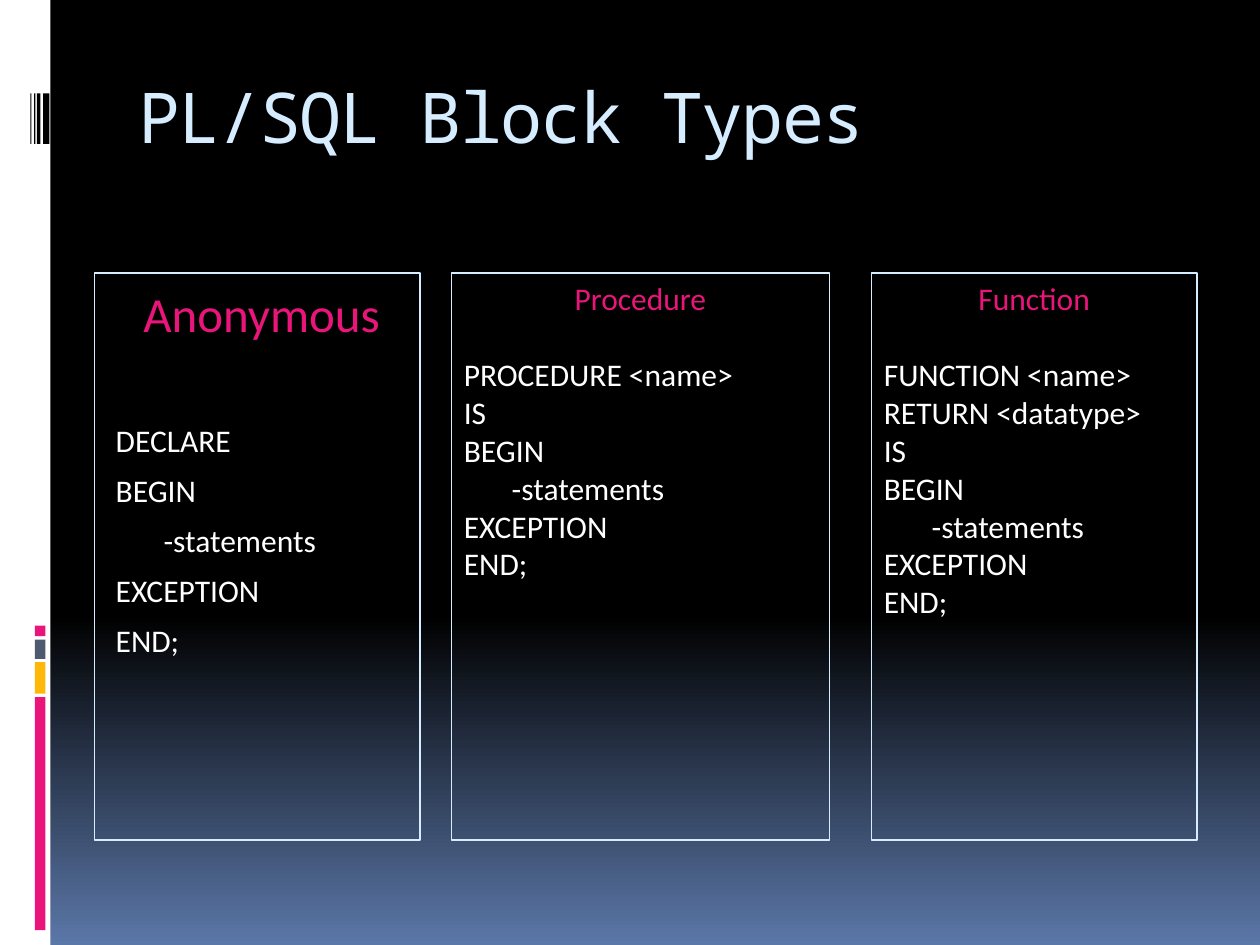
from copy import deepcopy
from dataclasses import dataclass

from lxml.etree import SubElement
from pptx import Presentation
from pptx.dml.color import RGBColor as Rgb
from pptx.enum.shapes import MSO_SHAPE as Kind
from pptx.enum.text import MSO_ANCHOR as Anchor, PP_ALIGN as Align
from pptx.oxml.ns import qn
from pptx.util import Inches, Pt

HUE = {
    "black": "000000", "white": "FFFFFF", "pink": "EA157A", "gold": "FEB80A",
    "slate": "4E5B6F", "blue": "5B77A8", "pale": "D6ECFF",
}
COLS, ROWS = 120, 90  # square cells, a twelfth of an inch


@dataclass
class Box:
    col: float
    row: float
    wide: float
    high: float


@dataclass
class Panel:
    col: float
    wide: float
    head: str
    code: list[str]
    size: int = 18         # heading, points
    inset: float = 0.05    # above the heading, inches
    margin: float = 0.38   # left margin of the hanging indent, inches
    lead: int = 0          # space before each code line, points
    gap: int = 22          # space between heading and code, points


def cells(count: float) -> int:
    return Inches(round(count / 12, 4))


def ink(name: str) -> Rgb:
    return Rgb.from_string(HUE[name])


def place(box: Box) -> list[int]:
    return [cells(n) for n in (box.col, box.row, box.wide, box.high)]


def backdrop(slide, stops: list[tuple[float, str]]) -> None:
    fill = slide.background.fill
    fill.gradient()
    fill.gradient_angle = 270
    steps = slide._element.find(".//" + qn("a:gsLst"))
    while len(steps) < len(stops):
        steps.append(deepcopy(steps[0]))
    for stop, (spot, name) in zip(fill.gradient_stops, stops):
        stop.position = spot
        stop.color.rgb = ink(name)


def bar(slide, box: Box, name: str) -> None:
    shape = slide.shapes.add_shape(Kind.RECTANGLE, *place(box))
    shape.shadow.inherit = False
    shape.fill.solid()
    shape.fill.fore_color.rgb = ink(name)
    shape.line.fill.background()


def write(para, text: str, size: int, name: str, face: str = "Calibri"):
    run = para.add_run()
    run.text = text
    for key, value in {"size": Pt(size), "name": face}.items():
        setattr(run.font, key, value)
    run.font.color.rgb = ink(name)
    return run


def title(slide, text: str) -> None:
    frame = slide.shapes.add_textbox(*place(Box(12, 6.75, 102, 12))).text_frame
    frame.word_wrap = True
    frame.margin_top = Inches(0.02)
    run = write(frame.paragraphs[0], text, 40, "pale", "Noto Sans Mono")
    run.font._element.set("spc", "-100")


def hang(para, margin: float) -> None:
    props = para._p.get_or_add_pPr()
    props.set("marL", str(Inches(margin)))
    props.set("indent", str(Inches(-0.38)))


def draw(slide, panel: Panel) -> None:
    box = Box(panel.col, 26, panel.wide, 54)
    shape = slide.shapes.add_shape(Kind.RECTANGLE, *place(box))
    shape.shadow.inherit = False
    shape.fill.background()
    shape.line.color.rgb = ink("pale")
    shape.line.width = Pt(0.75)
    frame = shape.text_frame
    form = {"word_wrap": True, "vertical_anchor": Anchor.TOP,
            "margin_top": Inches(panel.inset)}
    for key, value in form.items():
        setattr(frame, key, value)
    head = frame.paragraphs[0]
    head.alignment = Align.CENTER
    hang(head, panel.margin)
    write(head, panel.head, panel.size, "pink")
    for i, text in enumerate(panel.code):
        para = frame.add_paragraph()
        para.alignment = Align.LEFT
        para.space_before = Pt(panel.lead if i else panel.gap)
        hang(para, panel.margin)
        write(para, text, 18, "white")


BODY = ["BEGIN", "\t-statements", "EXCEPTION", "END;"]
PANELS = [
    Panel(9, 31, "Anonymous", ["DECLARE", *BODY],
          size=28, inset=0.08, margin=0.45, lead=7, gap=45),
    Panel(43, 36, "Procedure", ["PROCEDURE <name>", "IS", *BODY]),
    Panel(83, 31, "Function",
          ["FUNCTION <name>", "RETURN <datatype>", "IS", *BODY]),
]
STACK = [(1, "pink"), (1.83, "slate"), (3, "gold"), (22.2, "pink")]
CODE_BARS = [(4.1, 0.6), (3.52, 0.33), (3.25, 0.12), (2.9, 0.1)]


def main() -> None:
    deck = Presentation()
    deck.slide_width, deck.slide_height = cells(COLS), cells(ROWS)
    slide = deck.slides.add_slide(deck.slide_layouts[6])
    backdrop(slide, [(0, "black"), (0.65, "black"), (1, "blue")])

    bar(slide, Box(0, 0, 4.8, ROWS), "white")
    row = 59.6
    for high, name in STACK:
        bar(slide, Box(3.33, row, 1, high), name)
        row += high + 0.32
    for col, wide in CODE_BARS:
        bar(slide, Box(col, 8.9, wide, 4.8), "black")

    title(slide, "PL/SQL Block Types")
    for panel in PANELS:
        draw(slide, panel)
    deck.save("out.pptx")


if __name__ == "__main__":
    main()
